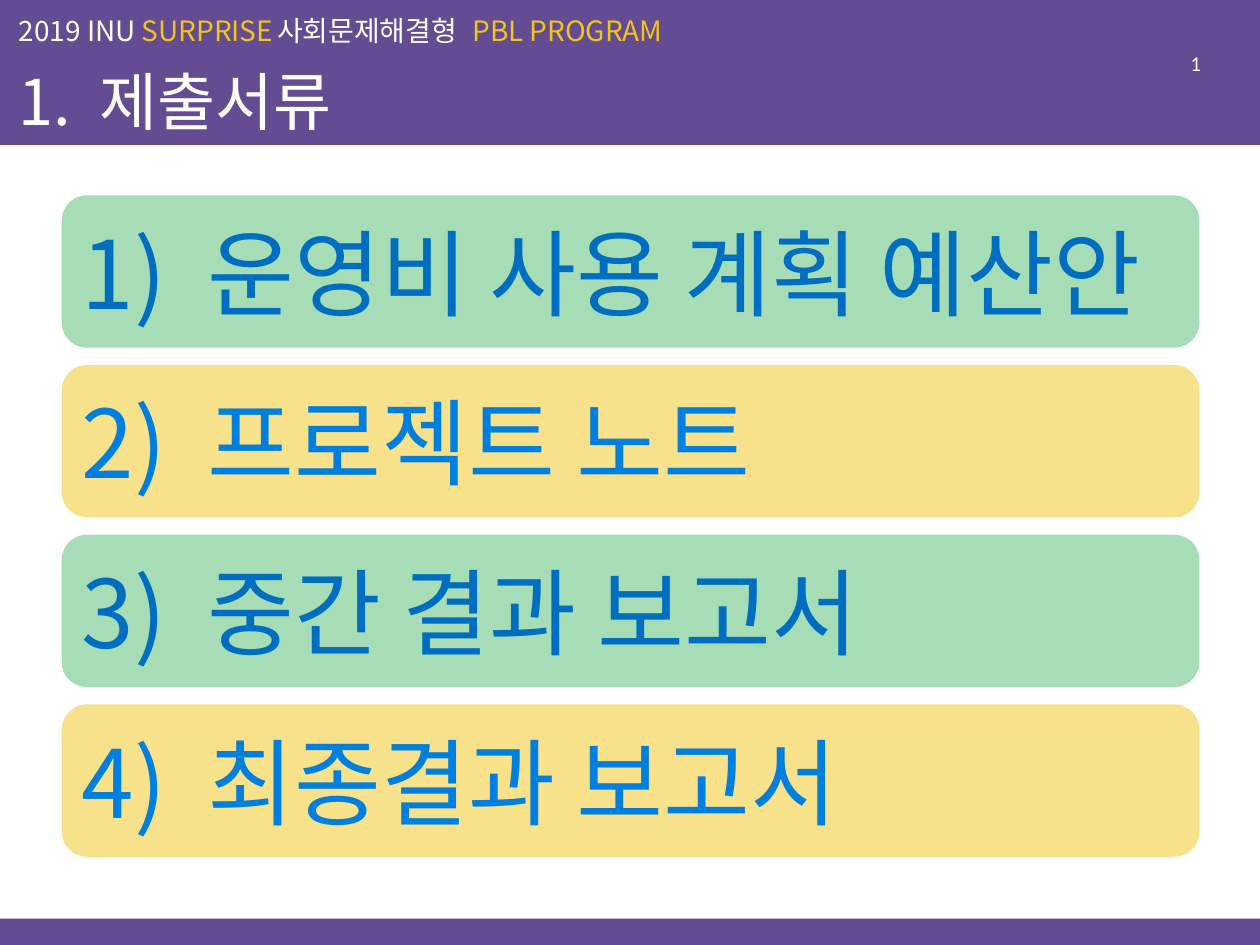
from lxml import etree
from pptx import Presentation
from pptx.dml.color import RGBColor
from pptx.enum.shapes import MSO_SHAPE as Shape
from pptx.enum.text import MSO_ANCHOR as Anchor, MSO_AUTO_SIZE as AutoSize, PP_ALIGN as Align
from pptx.oxml.ns import qn
from pptx.util import Inches, Pt

PURPLE = RGBColor(0x64, 0x4C, 0x93)
GOLD = RGBColor(0xF0, 0xC4, 0x19)
GREEN = RGBColor(0x4E, 0xBA, 0x6F)
DEEP_BLUE = RGBColor(0x00, 0x6E, 0xC0)
BRIGHT_BLUE = RGBColor(0x00, 0x7F, 0xDE)
WHITE = RGBColor(0xFF, 0xFF, 0xFF)

KOREAN_FONT = "Noto Sans CJK KR"
PROGRAM = [("2019 INU ", WHITE), ("SURPRISE\t", GOLD),
           ("사회문제해결형\t", WHITE), ("PBL PROGRAM", GOLD)]
DOCUMENTS = ["1)\t운영비 사용 계획 예산안", "2)\t프로젝트 노트",
             "3)\t중간 결과 보고서", "4)\t최종결과 보고서"]
CARD_STYLES = [(GREEN, DEEP_BLUE), (GOLD, BRIGHT_BLUE)]


def set_tabs(paragraph, *stops):
    tab_list = etree.SubElement(paragraph._p.get_or_add_pPr(), qn("a:tabLst"))
    for stop in stops:
        etree.SubElement(tab_list, qn("a:tab"), pos=str(Inches(stop)), algn="l")


def style_run(run, size, color):
    run.font.size = Pt(size)
    run.font.color.rgb = color
    run.font.name = KOREAN_FONT
    etree.SubElement(run.font._element, qn("a:ea"), typeface=KOREAN_FONT)


def fill_plain(shape, color):
    shape.fill.solid()
    shape.fill.fore_color.rgb = color
    shape.line.fill.background()


def add_header(slide, left, top, width, height):
    header = slide.shapes.title
    header.left, header.top, header.width, header.height = left, top, width, height
    fill_plain(header, PURPLE)
    frame = header.text_frame
    frame.auto_size = AutoSize.NONE
    frame.vertical_anchor = Anchor.MIDDLE

    program = frame.paragraphs[0]
    heading = frame.add_paragraph()
    for paragraph in (program, heading):
        paragraph.alignment = Align.LEFT
        paragraph.line_spacing = 1.2
    program._p.get_or_add_pPr().set("marL", str(Inches(0.05)))
    set_tabs(program, 2.05, 3.6)
    set_tabs(heading, 0.64)

    for words, color in PROGRAM:
        run = program.add_run()
        run.text = words
        style_run(run, 16, color)
    heading.text = "1.\t제출서류"
    for run in heading.runs:
        style_run(run, 36, WHITE)


def add_page_number(slide, left, top, width, height):
    frame = slide.shapes.add_textbox(left, top, width, height).text_frame
    frame.word_wrap = True
    frame.vertical_anchor = Anchor.MIDDLE
    paragraph = frame.paragraphs[0]
    paragraph.alignment = Align.RIGHT
    run = paragraph.add_run()
    run.text = "1"
    run.font.size = Pt(12)
    run.font.name = "Calibri"
    run.font.color.rgb = WHITE
    # A field holds the same children as a run
    field = run._r
    field.tag = qn("a:fld")
    field.set("id", "{B6F15528-21DE-4FAA-801E-634DDDAF4B2B}")
    field.set("type", "slidenum")


def add_footer(slide, left, top, width, height):
    footer = slide.shapes.add_shape(Shape.RECTANGLE, left, top, width, height)
    footer.shadow.inherit = False
    fill_plain(footer, PURPLE)


def add_card(slide, left, top, width, height, words, fill_color, text_color):
    card = slide.shapes.add_shape(Shape.ROUNDED_RECTANGLE, left, top, width, height)
    card.shadow.inherit = False
    fill_plain(card, fill_color)
    solid = card._element.spPr.find(qn("a:solidFill"))
    etree.SubElement(solid[0], qn("a:alpha"), val="50000")
    frame = card.text_frame
    frame.word_wrap = True
    frame.vertical_anchor = Anchor.MIDDLE
    paragraph = frame.paragraphs[0]
    paragraph.alignment = Align.LEFT
    set_tabs(paragraph, 1)
    paragraph.text = words
    for run in paragraph.runs:
        style_run(run, 54, text_color)


def add_document_list(slide, left, top, width, height):
    card_height = Inches(1.21)
    pitch = (height - card_height) // (len(DOCUMENTS) - 1)
    for index, words in enumerate(DOCUMENTS):
        add_card(slide, left, top + index * pitch, width, card_height,
                 words, *CARD_STYLES[index % 2])


def main():
    deck = Presentation()
    deck.slide_width, deck.slide_height = Inches(10), Inches(7.5)
    slide = deck.slides.add_slide(deck.slide_layouts[5])
    add_header(slide, 0, 0, deck.slide_width, Inches(1.15))
    add_page_number(slide, Inches(7.38), Inches(0.3), Inches(2.25), Inches(0.4))
    add_footer(slide, 0, Inches(7.29), deck.slide_width, Inches(0.21))
    add_document_list(slide, Inches(0.49), Inches(1.55), Inches(9.03), Inches(5.25))
    deck.save("out.pptx")


if __name__ == "__main__":
    main()
